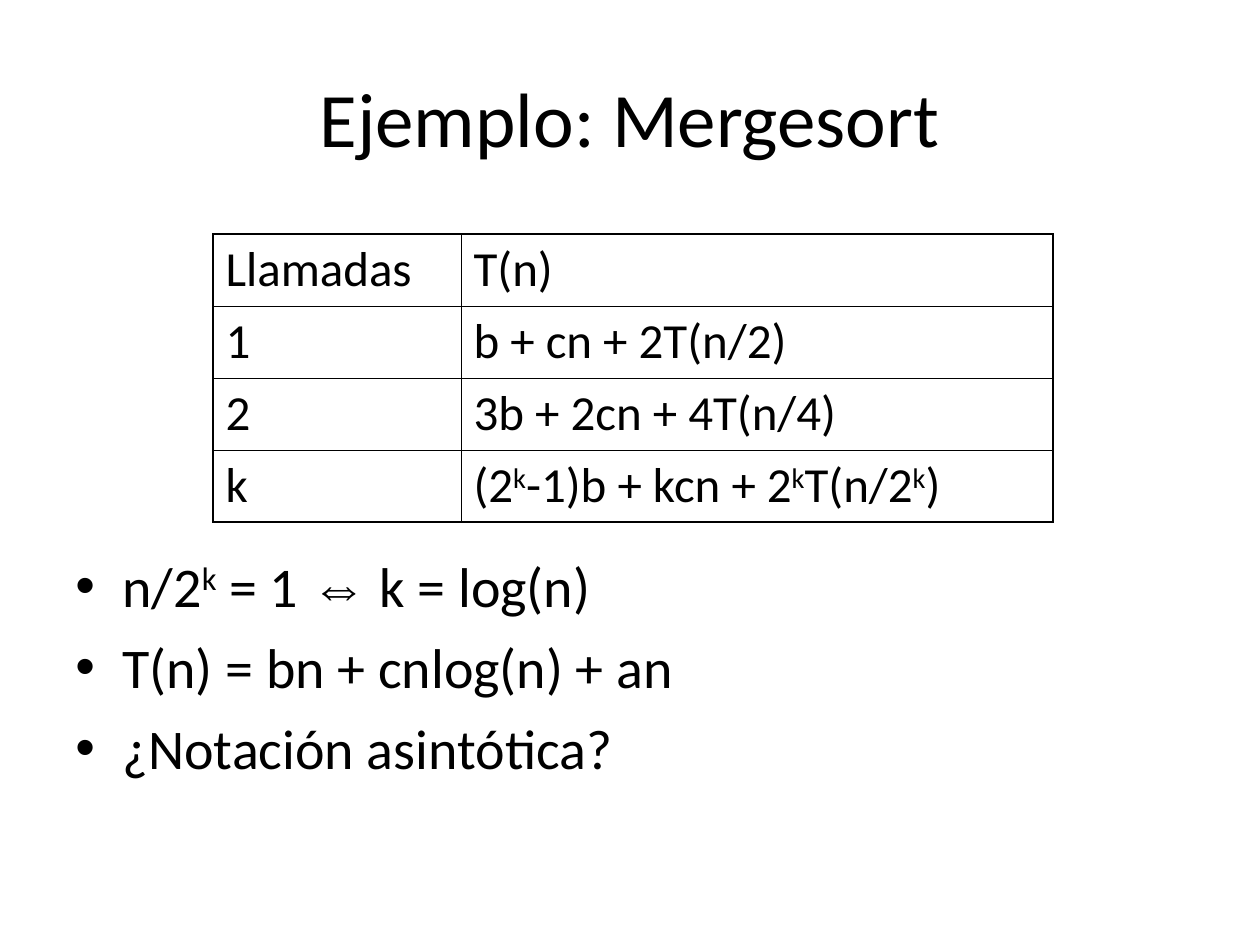
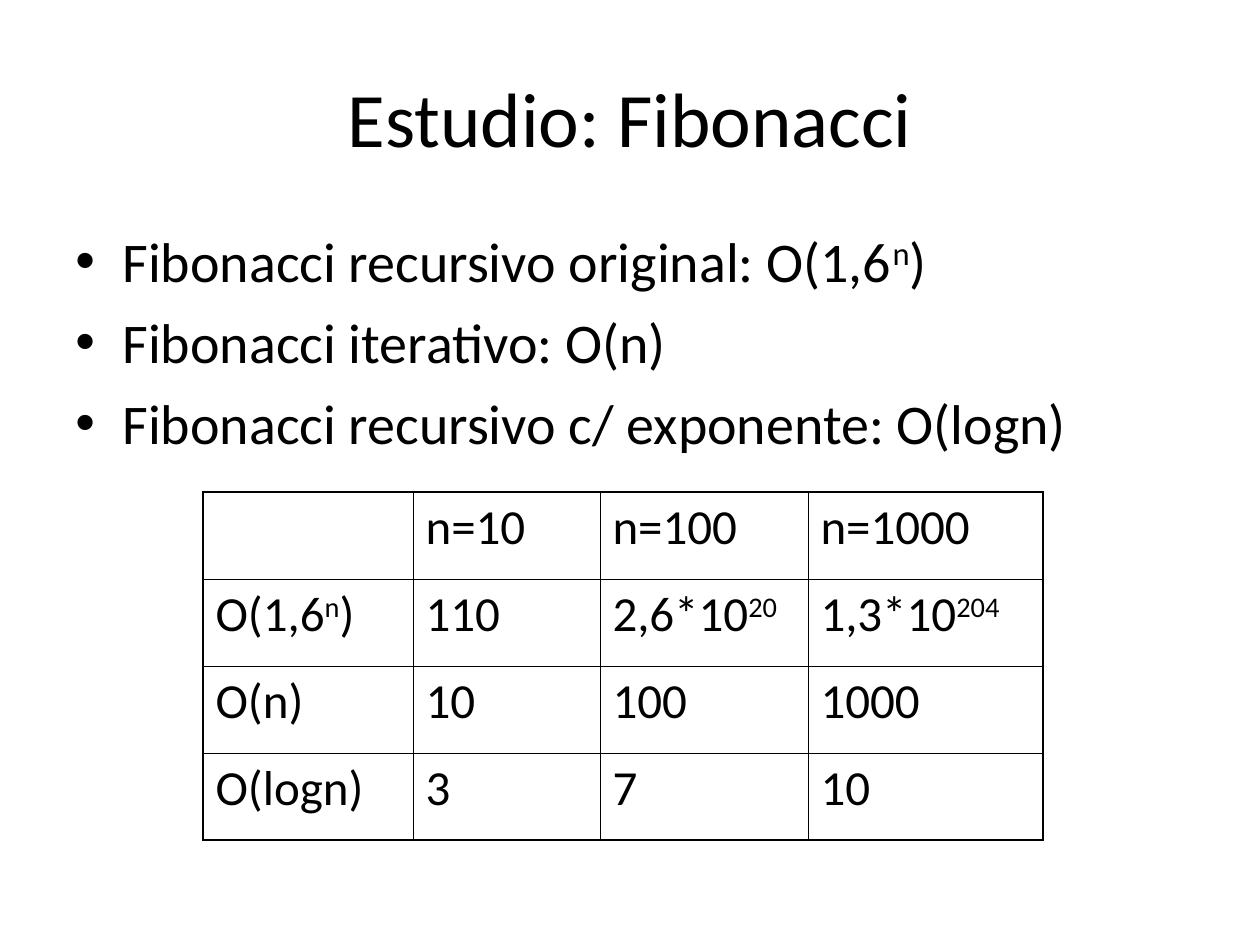
from lxml import etree
from pptx import Presentation
from pptx.dml.color import RGBColor
from pptx.enum.text import MSO_ANCHOR, PP_ALIGN
from pptx.oxml.ns import qn
from pptx.util import Pt

SCALE = 914400 / 126  # EMU in one px
MID, TOP = MSO_ANCHOR.MIDDLE, MSO_ANCHOR.TOP
LEFT, CENTER = PP_ALIGN.LEFT, PP_ALIGN.CENTER
COLORS = {"ink": "000000", "paper": "FFFFFF"}
FONT, SYMBOL = "Calibri", "Arial"
THIN, THICK = 0.45, 1.08

# Format of each kind of text
FORMATS = {
    "title": {"size": 44, "before": 0, "align": CENTER, "anchor": MID},
    "body": {"size": 32, "before": 8, "align": LEFT, "anchor": TOP},
    "cell": {"size": 28, "before": 7, "align": LEFT},
}


def px(n):
    return round(n * SCALE)


def add(parent, tag, **attrs):
    return etree.SubElement(parent, qn(tag), attrs)


class Deck:
    def __init__(self, width, height):
        self.prs = Presentation()
        self.prs.slide_width, self.prs.slide_height = px(width), px(height)
        self.slide = None

    def start(self, title):
        """Open a slide with the shared background and title."""
        self.slide = self.prs.slides.add_slide(self.prs.slide_layouts[6])
        fill = self.slide.background.fill
        fill.solid()
        fill.fore_color.rgb = RGBColor.from_string(COLORS["paper"])
        self.box([title], "title", 63, 38, 1134, 157)

    def label(self, para, text, kind):
        """Fill a paragraph; parts between ^ marks are raised, ⇔ is a symbol."""
        form = FORMATS[kind]
        para.alignment = form["align"]
        para.space_before = Pt(form["before"])
        for i, part in enumerate(text.split("^")):
            if not part:
                continue
            run = para.add_run()
            run.text = part
            look = {"size": Pt(form["size"]),
                    "name": SYMBOL if part == "⇔" else FONT}
            for key, value in look.items():
                setattr(run.font, key, value)
            run.font.color.rgb = RGBColor.from_string(COLORS["ink"])
            if i % 2 and part != "⇔":
                run.font._element.set("baseline", "30000")

    def box(self, lines, kind, x, y, w, h, lead=0):
        """Add a text box whose text begins lead px below its usual place."""
        frame = self.slide.shapes.add_textbox(px(x), px(y), px(w), px(h)).text_frame
        look = {"word_wrap": True, "vertical_anchor": FORMATS[kind]["anchor"],
                "margin_top": px(6 + lead)}
        for key, value in look.items():
            setattr(frame, key, value)
        for i, line in enumerate(lines):
            para = frame.add_paragraph() if i else frame.paragraphs[0]
            self.label(para, line, kind)
        return frame

    def bullets(self, lines, w, lead=0):
        for para in self.box(lines, "body", 63, 220, w, 624, lead).paragraphs:
            props = para._p.get_or_add_pPr()
            props.set("marL", str(px(47)))
            props.set("indent", str(-px(47)))
            tint = add(props, "a:buClr")
            add(tint, "a:srgbClr", val=COLORS["ink"])
            add(props, "a:buFont", typeface=SYMBOL)
            add(props, "a:buChar", char="•")

    def border(self, cell, side, width):
        props = cell._tc.get_or_add_tcPr()
        line = add(props, "a:ln" + side, w=str(Pt(width)))
        add(add(line, "a:solidFill"), "a:srgbClr", val=COLORS["ink"])

    def table(self, rows, x, y, widths, height):
        """Add a ruled table with a thicker outer frame."""
        last, end = len(rows) - 1, len(widths) - 1
        grid = self.slide.shapes.add_table(
            len(rows), len(widths), px(x), px(y),
            px(sum(widths)), px(height * len(rows))).table
        grid.first_row = grid.horz_banding = False
        for col, width in zip(grid.columns, widths):
            col.width = px(width)
        for r, row in enumerate(rows):
            grid.rows[r].height = px(height)
            for c, text in enumerate(row):
                cell = grid.cell(r, c)
                outer = {"L": c == 0, "R": c == end, "T": r == 0, "B": r == last}
                for side, edge in outer.items():
                    self.border(cell, side, THICK if edge else THIN)
                cell.fill.background()
                self.label(cell.text_frame.paragraphs[0], text, "cell")


def main():
    deck = Deck(1260, 945)

    # Mergesort: the bullets begin below the table
    deck.start("Ejemplo: Mergesort")
    deck.bullets(["n/2^k^ = 1 ^⇔^ k = log(n)",
                  "T(n) = bn + cnlog(n) + an",
                  "¿Notación asintótica?"], 1134, lead=325)
    deck.table([("Llamadas", "T(n)"),
                ("1", "b + cn + 2T(n/2)"),
                ("2", "3b + 2cn + 4T(n/4)"),
                ("k", "(2^k^-1)b + kcn + 2^k^T(n/2^k^)")],
               213, 234, [248, 592], 72)

    # Fibonacci: the table stands below the bullets
    deck.start("Estudio: Fibonacci")
    deck.bullets(["Fibonacci recursivo original: O(1,6^n^)",
                  "Fibonacci iterativo: O(n)",
                  "Fibonacci recursivo c/ exponente: O(logn)"], 1143)
    deck.table([("", "n=10", "n=100", "n=1000"),
                ("O(1,6^n^)", "110", "2,6*10^20^", "1,3*10^204^"),
                ("O(n)", "10", "100", "1000"),
                ("O(logn)", "3", "7", "10")],
               203, 492, [210, 187, 208, 235], 87)

    deck.prs.save("out.pptx")


if __name__ == "__main__":
    main()
